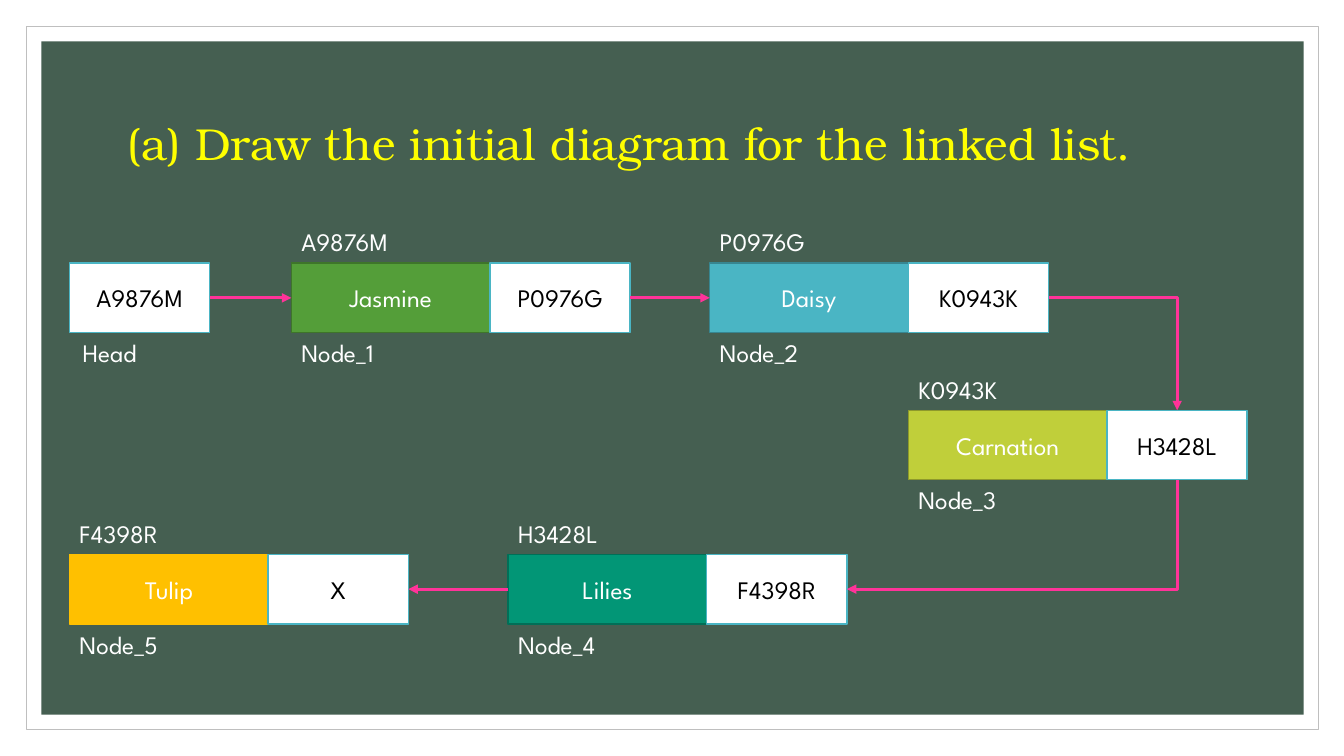
from lxml import etree
from pptx import Presentation
from pptx.dml.color import RGBColor
from pptx.enum.shapes import MSO_CONNECTOR, MSO_SHAPE
from pptx.enum.text import MSO_ANCHOR, MSO_AUTO_SIZE, PP_ALIGN
from pptx.oxml.ns import qn
from pptx.util import Inches, Pt

RECTANGLE = MSO_SHAPE.RECTANGLE
STRAIGHT, ELBOW = MSO_CONNECTOR.STRAIGHT, MSO_CONNECTOR.ELBOW
MIDDLE = MSO_ANCHOR.MIDDLE
CENTER = PP_ALIGN.CENTER
FIT_SHAPE = MSO_AUTO_SIZE.SHAPE_TO_FIT_TEXT
TOP, LEFT, BOTTOM, RIGHT = range(4)

WHITE = RGBColor(0xFF, 0xFF, 0xFF)
BLACK = RGBColor(0x00, 0x00, 0x00)
FRAME_GRAY = RGBColor(0xBF, 0xBF, 0xBF)
BOARD_GREEN = RGBColor(0x45, 0x5F, 0x51)
YELLOW = RGBColor(0xFF, 0xFF, 0x00)
PINK = RGBColor(0xFF, 0x33, 0x99)
LEAF = RGBColor(0x54, 0x9E, 0x39)
LEAF_DARK = RGBColor(0x3E, 0x75, 0x2A)
AQUA = RGBColor(0x4A, 0xB5, 0xC4)
AQUA_DARK = RGBColor(0x37, 0x86, 0x91)
LIME = RGBColor(0xC0, 0xCF, 0x3A)
LIME_DARK = RGBColor(0x8E, 0x99, 0x2B)
TEAL = RGBColor(0x02, 0x96, 0x76)
TEAL_DARK = RGBColor(0x01, 0x6F, 0x57)
AMBER = RGBColor(0xFF, 0xC0, 0x00)

TITLE_FONT = "TeX Gyre Bonum"
BODY_FONT = "League Spartan"
DATA_WIDTH, LINK_WIDTH, CELL_HEIGHT = 1.97, 1.39, 0.69
LABEL_HEIGHT = 0.4
NAME_WIDTH = 1.16

NODES = [
    ("Node_1", "A9876M", 1.18, "Jasmine", "P0976G", 2.89, 2.61, LEAF, LEAF_DARK),
    ("Node_2", "P0976G", 1.13, "Daisy", "K0943K", 7.04, 2.61, AQUA, AQUA_DARK),
    ("Node_3", "K0943K", 1.06, "Carnation", "H3428L", 9.01, 4.07, LIME, LIME_DARK),
    ("Node_4", "H3428L", 1.05, "Lilies", "F4398R", 5.04, 5.5, TEAL, TEAL_DARK),
    ("Node_5", "F4398R", 1.04, "Tulip", "X", 0.69, 5.5, AMBER, AMBER),
]


def write_text(shape, text, color, size=18, font=BODY_FONT):
    shape.text_frame.text = text
    run_font = shape.text_frame.paragraphs[0].runs[0].font
    run_font.name = font
    run_font.size = Pt(size)
    run_font.color.rgb = color


def add_rectangle(shapes, left, top, width, height, fill, line=None, line_width=1):
    shape = shapes.add_shape(
        RECTANGLE, Inches(left), Inches(top), Inches(width), Inches(height))
    shape.shadow.inherit = False
    shape.fill.solid()
    shape.fill.fore_color.rgb = fill
    if line is None:
        shape.line.fill.background()
    else:
        shape.line.color.rgb = line
        shape.line.width = Pt(line_width)
    return shape


def add_cell(shapes, text, left, top, width, fill, line, color):
    cell = add_rectangle(shapes, left, top, width, CELL_HEIGHT, fill, line)
    write_text(cell, text, color)
    cell.text_frame.vertical_anchor = MIDDLE
    cell.text_frame.paragraphs[0].alignment = CENTER
    return cell


def add_label(shapes, text, left, top, width):
    label = shapes.add_textbox(
        Inches(left), Inches(top), Inches(width), Inches(LABEL_HEIGHT))
    write_text(label, text, WHITE)
    label.text_frame.word_wrap = False
    label.text_frame.auto_size = FIT_SHAPE


def add_head(slide):
    shapes = slide.shapes.add_group_shape().shapes
    cell = add_cell(shapes, "A9876M", 0.69, 2.61, LINK_WIDTH, WHITE, AQUA, BLACK)
    add_label(shapes, "Head", 0.72, 2.61 + CELL_HEIGHT, 0.88)
    return cell


def add_node(slide, name, address, address_width, flower, link, left, top, fill, line):
    shapes = slide.shapes.add_group_shape().shapes
    data_cell = add_cell(shapes, flower, left, top, DATA_WIDTH, fill, line, WHITE)
    link_cell = add_cell(
        shapes, link, left + DATA_WIDTH, top, LINK_WIDTH, WHITE, AQUA, BLACK)
    add_label(shapes, address, left, top - LABEL_HEIGHT - 0.01, address_width)
    add_label(shapes, name, left, top + CELL_HEIGHT, NAME_WIDTH)
    return data_cell, link_cell


def add_arrow(slide, kind, source, source_side, target, target_side):
    arrow = slide.shapes.add_connector(kind, 0, 0, 0, 0)
    arrow.begin_connect(source, source_side)
    arrow.end_connect(target, target_side)
    arrow.line.color.rgb = PINK
    arrow.line.width = Pt(2.25)
    tail = etree.SubElement(arrow.line._get_or_add_ln(), qn("a:tailEnd"))
    tail.set("type", "triangle")
    properties = arrow._element.spPr
    etree.SubElement(properties, qn("a:effectLst"))
    if kind == ELBOW:
        properties.find(qn("a:prstGeom")).set("prst", "bentConnector2")
    return arrow


def turn_down_then_left(arrow):
    left, top, width, height = arrow.left, arrow.top, arrow.width, arrow.height
    arrow.left = left + (width - height) // 2
    arrow.top = top + (height - width) // 2
    arrow.width, arrow.height = height, width
    transform = arrow._element.spPr.find(qn("a:xfrm"))
    transform.attrib.pop("flipH", None)
    transform.set("rot", "5400000")


def add_title(slide):
    title = slide.shapes.add_textbox(Inches(1.17), Inches(0.7), Inches(11), Inches(1.5))
    write_text(title, "(a) Draw the initial diagram for the linked list.",
               YELLOW, 32, TITLE_FONT)
    title.text_frame.word_wrap = True
    title.text_frame.vertical_anchor = MIDDLE
    title.text_frame.paragraphs[0].line_spacing = 0.9


def main():
    presentation = Presentation()
    presentation.slide_width = Inches(13.33)
    presentation.slide_height = Inches(7.5)
    slide = presentation.slides.add_slide(presentation.slide_layouts[6])

    add_rectangle(slide.shapes, 0.26, 0.26, 12.82, 6.98, WHITE, FRAME_GRAY, 0.5)
    add_rectangle(slide.shapes, 0.41, 0.41, 12.52, 6.68, BOARD_GREEN)
    add_title(slide)

    nodes = [add_node(slide, *node) for node in NODES]
    (jasmine, link_1), (daisy, link_2), (_, link_3), (lilies, link_4), (_, link_5) = nodes
    head = add_head(slide)

    add_arrow(slide, STRAIGHT, head, RIGHT, jasmine, LEFT)
    add_arrow(slide, STRAIGHT, link_1, RIGHT, daisy, LEFT)
    add_arrow(slide, STRAIGHT, lilies, LEFT, link_5, RIGHT)
    turn_down_then_left(add_arrow(slide, ELBOW, link_3, BOTTOM, link_4, RIGHT))
    add_arrow(slide, ELBOW, link_2, RIGHT, link_3, TOP)

    presentation.save("out.pptx")


if __name__ == "__main__":
    main()
